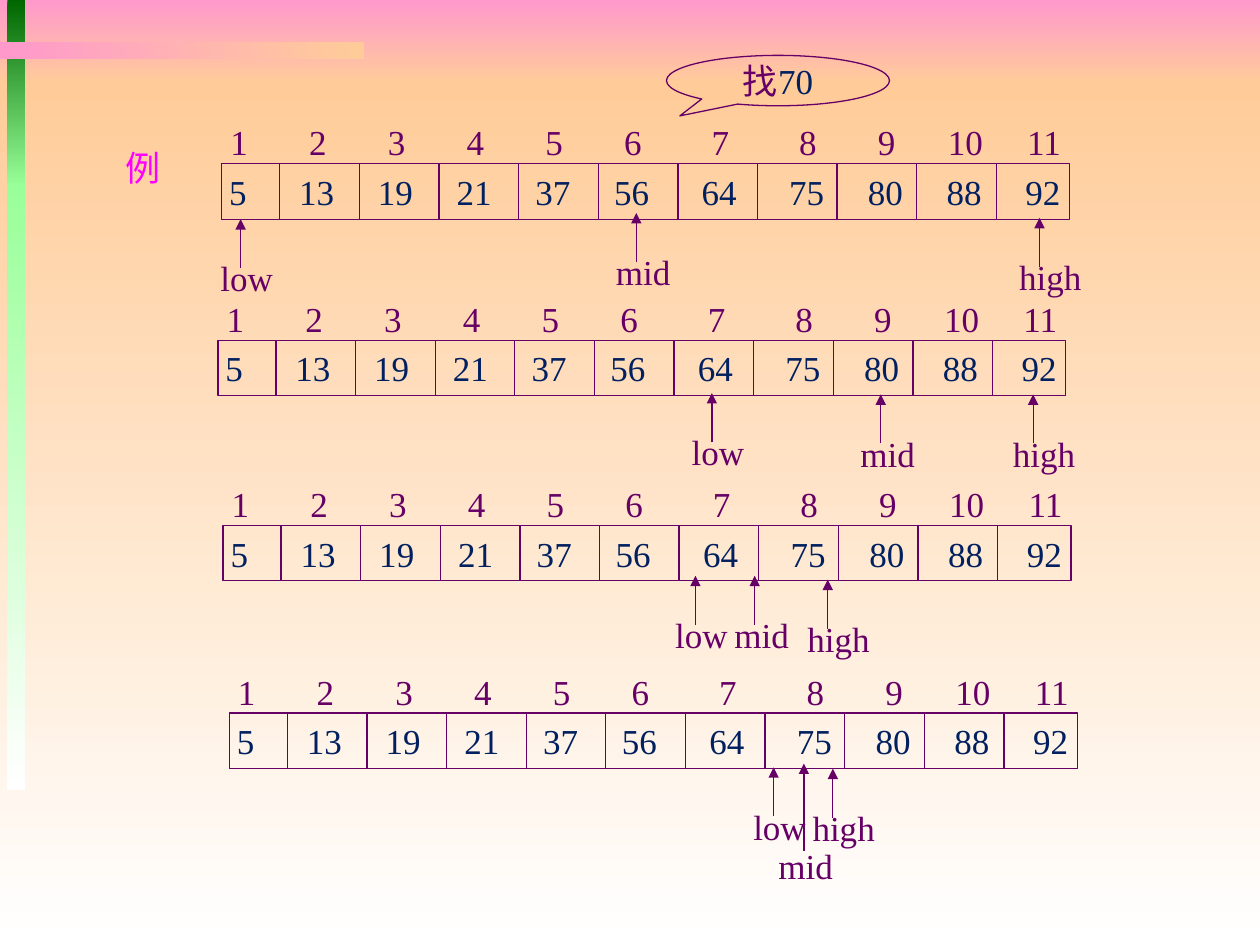
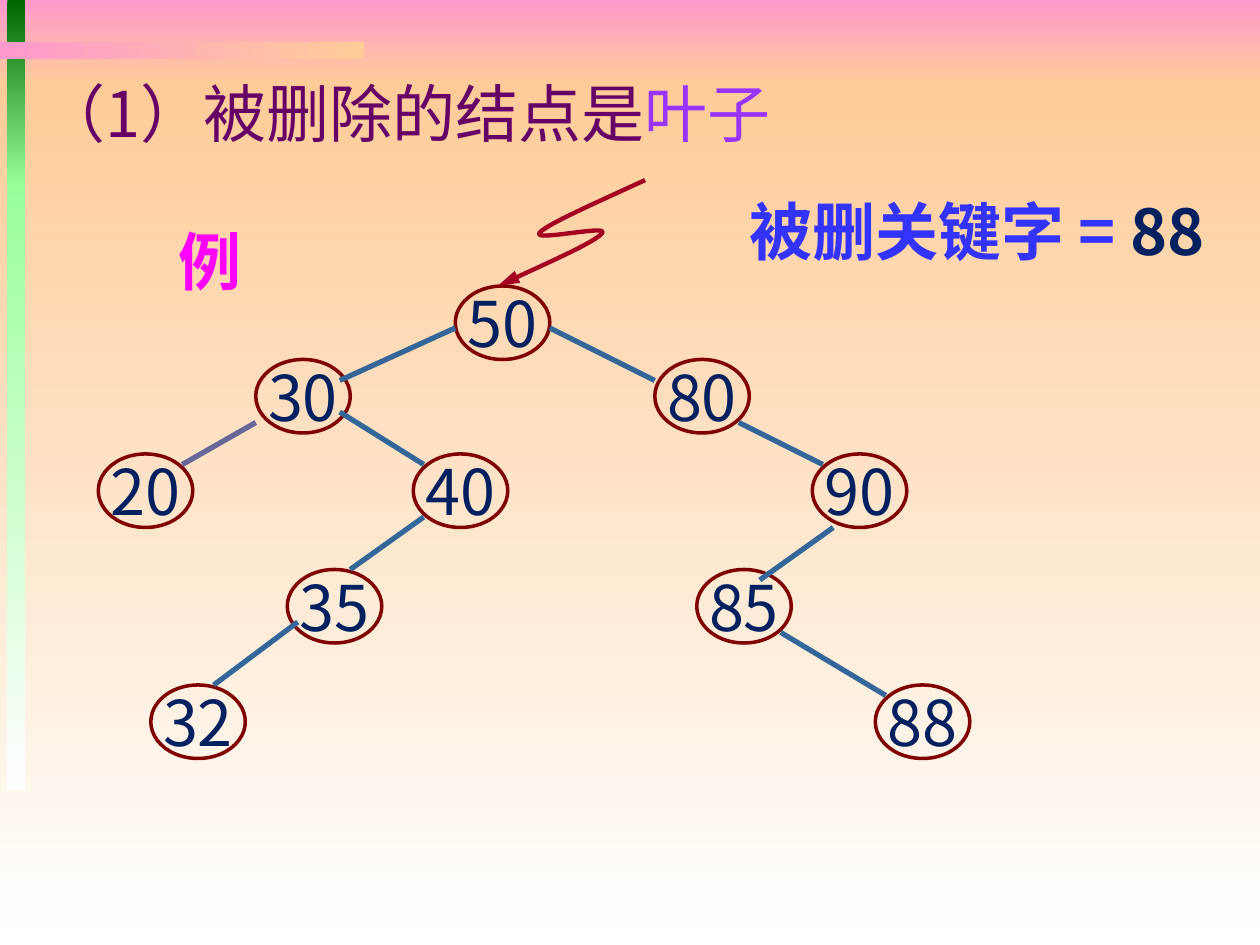
from lxml.etree import SubElement
from pptx import Presentation
from pptx.dml.color import RGBColor
from pptx.enum.shapes import MSO_CONNECTOR as Link, MSO_SHAPE as Preset
from pptx.enum.text import MSO_ANCHOR as Anchor, MSO_AUTO_SIZE as AutoSize, PP_ALIGN as Align
from pptx.oxml.ns import qn
from pptx.util import Inches, Pt

PINK = RGBColor(0xFF, 0x99, 0xCC)
PEACH = RGBColor(0xFF, 0xCC, 0x99)
WHITE = RGBColor(0xFF, 0xFF, 0xFF)
DARK_GREEN = RGBColor(0x00, 0x66, 0x00)
LIGHT_GREEN = RGBColor(0x99, 0xFF, 0x99)
PLUM = RGBColor(0x66, 0x00, 0x66)
NAVY = RGBColor(0x00, 0x20, 0x60)
MAGENTA = RGBColor(0xFF, 0x00, 0xFF)
MAROON = RGBColor(0x80, 0x00, 0x00)
STEEL = RGBColor(0x33, 0x66, 0x99)
SLATE = RGBColor(0x66, 0x66, 0x99)
VIOLET = RGBColor(0x99, 0x33, 0xFF)
BLUE = RGBColor(0x33, 0x33, 0xFF)
CRIMSON = RGBColor(0xA5, 0x00, 0x21)

SERIF = "Times New Roman"
SANS = "Noto Sans CJK SC"

BACKDROP = [
    ((0, 0, 10, 0.67), PINK, PEACH, 270),
    ((0, 0.67, 10, 6.83), PEACH, WHITE, 270),
    ((0.06, 0, 0.14, 1.48), DARK_GREEN, LIGHT_GREEN, 270),
    ((0.06, 1.46, 0.14, 4.81), LIGHT_GREEN, WHITE, 270),
    ((0, 0.33, 2.89, 0.14), PINK, PEACH, 0),
]

KEYS = [5, 13, 19, 21, 37, 56, 64, 75, 80, 88, 92]
KEY_CENTRES = [50, 95, 140, 185, 230, 280, 330, 375, 420, 465]
ARRAY_WIDTH, ARRAY_HEIGHT = 6.73, 0.44
FIRST_CELL, CELL = 0.46, 0.632
SHAFT = 0.39
SEARCH_STEPS = [
    (1.76, 1.3, [("low", 1.91, 1.74, SHAFT), ("high", 8.25, 1.73, SHAFT), ("mid", 5.05, 1.69, SHAFT)]),
    (1.73, 2.7, [("low", 5.65, 3.12, SHAFT), ("high", 8.2, 3.13, SHAFT), ("mid", 6.99, 3.13, SHAFT)]),
    (1.77, 4.17, [("low", 5.52, 4.57, SHAFT), ("high", 6.57, 4.6, SHAFT), ("mid", 5.99, 4.57, SHAFT)]),
    (1.82, 5.66, [("low", 6.14, 6.09, SHAFT), ("high", 6.61, 6.1, SHAFT), ("mid", 6.38, 6.06, 0.69)]),
]

TREE_LEFT, TREE_TOP, TREE_UNIT = 0.78, 2.27, 1 / 12
NODES = {50: (34, 0), 30: (15, 7), 80: (53, 7), 20: (0, 16), 90: (68, 16),
         85: (57, 27), 40: (30, 16), 35: (18, 27), 88: (74, 38), 32: (5, 38)}
BRANCHES = [
    ((34, 4), (23, 9), STEEL), ((15, 13), (8, 17), SLATE), ((43, 4), (53, 9), STEEL),
    ((23, 12), (31, 17), STEEL), ((31, 22), (24, 27), STEEL), ((61, 13), (69, 17), STEEL),
    ((70, 23), (63, 28), STEEL), ((65, 33), (75, 39), STEEL), ((19, 32), (11, 38), STEEL),
]
SQUIGGLE_START = (5.12, 1.43)
SQUIGGLE = [
    ((4.73, 1.61), (4.34, 1.78), (4.28, 1.85)),
    ((4.23, 1.92), (4.84, 1.78), (4.78, 1.85)),
    ((4.73, 1.92), (4.34, 2.09), (3.95, 2.27)),
]


def inches(*lengths):
    return [Inches(length) for length in lengths]


def add_runs(paragraph, runs, font_name, size, bold=False):
    for words, color in runs:
        run = paragraph.add_run()
        run.text = words
        run.font.name = font_name
        run.font.size = Pt(size)
        run.font.bold = bold
        run.font.color.rgb = color
        SubElement(run.font._element, qn("a:ea")).set("typeface", SANS)


def add_label(slide, box, runs, font_name, size, bold=False):
    frame = slide.shapes.add_textbox(*inches(*box)).text_frame
    frame.word_wrap = False
    add_runs(frame.paragraphs[0], runs, font_name, size, bold)
    return frame.paragraphs[0]


def add_outline(slide, preset, box, color, weight):
    outline = slide.shapes.add_shape(preset, *inches(*box))
    outline.shadow.inherit = False
    outline.fill.background()
    outline.line.color.rgb = color
    outline.line.width = Pt(weight)
    frame = outline.text_frame
    frame.word_wrap = False
    frame.vertical_anchor = Anchor.MIDDLE
    frame.paragraphs[0].alignment = Align.CENTER
    return outline


def add_arrowhead(stroke, length="med"):
    head = SubElement(stroke.element.spPr.find(qn("a:ln")), qn("a:tailEnd"))
    head.set("type", "triangle")
    head.set("len", length)


def add_line(slide, start, end, color, weight):
    line = slide.shapes.add_connector(Link.STRAIGHT, *inches(*start, *end))
    line.line.color.rgb = color
    line.line.width = Pt(weight)
    SubElement(line.element.spPr, qn("a:effectLst"))
    return line


def move_backdrop_to_master(prs, slide):
    master_tree = prs.slide_master.shapes.element
    for order, (box, start, end, angle) in enumerate(BACKDROP):
        band = slide.shapes.add_shape(Preset.RECTANGLE, *inches(*box))
        band.shadow.inherit = False
        band.line.fill.background()
        band.fill.gradient()
        band.fill.gradient_angle = angle
        for stop, color in zip(band.fill.gradient_stops, (start, end)):
            stop.color.rgb = color
        band.element.nvSpPr.cNvPr.set("id", str(100 + order))
        master_tree.insert(2 + order, band.element)


def align_to_cells(paragraph):
    paragraph.alignment = Align.LEFT
    stops = SubElement(paragraph._p.get_or_add_pPr(), qn("a:tabLst"))
    for centre in KEY_CENTRES:
        stop = SubElement(stops, qn("a:tab"))
        stop.set("pos", str(Pt(centre)))
        stop.set("algn", "ctr")


def tabbed(numbers):
    return "\t".join(str(number) for number in numbers)


def add_pointer(slide, name, x, tip, shaft):
    add_arrowhead(add_line(slide, (x, tip + shaft), (x, tip), PLUM, 0.75))
    nudge = 0.04 if shaft > SHAFT else 0
    add_label(slide, (x - 0.26 - nudge, tip + shaft - 0.14 + nudge, 0.75, 0.43),
              [(name, PLUM)], SERIF, 20)


def add_search_step(slide, left, top, pointers):
    indices = add_label(slide, (left - 0.03, top - 0.39, 6.85, 0.43),
                        [(tabbed(range(1, len(KEYS) + 1)), PLUM)], SERIF, 20)
    align_to_cells(indices)
    array = add_outline(slide, Preset.RECTANGLE, (left, top, ARRAY_WIDTH, ARRAY_HEIGHT), PLUM, 0.75)
    frame = array.text_frame
    frame.margin_left = frame.margin_right = Inches(0.06)
    frame.word_wrap = True
    add_runs(frame.paragraphs[0], [(tabbed(KEYS), NAVY)], SERIF, 20)
    align_to_cells(frame.paragraphs[0])
    for cell in range(len(KEYS) - 1):
        x = left + FIRST_CELL + cell * CELL
        add_line(slide, (x, top), (x, top + ARRAY_HEIGHT), PLUM, 0.75)
    for pointer in pointers:
        add_pointer(slide, *pointer)


def tree_point(column, row):
    return TREE_LEFT + column * TREE_UNIT, TREE_TOP + row * TREE_UNIT


def add_node(slide, key, cell):
    node = add_outline(slide, Preset.OVAL, (*tree_point(*cell), 9 * TREE_UNIT, 7 * TREE_UNIT), MAROON, 2)
    frame = node.text_frame
    frame.margin_left = frame.margin_right = frame.margin_top = frame.margin_bottom = 0
    add_runs(frame.paragraphs[0], [(str(key), NAVY)], SANS, 36)


def curve_points(start, curves, steps=12):
    for first, second, end in curves:
        for step in range(1, steps + 1):
            t = step / steps
            yield tuple(Inches((1 - t) ** 3 * a + 3 * (1 - t) ** 2 * t * b + 3 * (1 - t) * t ** 2 * c + t ** 3 * d)
                        for a, b, c, d in zip(start, first, second, end))
        start = end


def add_squiggle(slide):
    builder = slide.shapes.build_freeform(*inches(*SQUIGGLE_START))
    builder.add_line_segments(list(curve_points(SQUIGGLE_START, SQUIGGLE)), close=False)
    squiggle = builder.convert_to_shape()
    squiggle.shadow.inherit = False
    squiggle.fill.background()
    squiggle.line.color.rgb = CRIMSON
    squiggle.line.width = Pt(2.5)
    add_arrowhead(squiggle, "lg")


def set_title(slide, box, runs):
    title = slide.shapes.title
    title.left, title.top, title.width, title.height = inches(*box)
    frame = title.text_frame
    frame.word_wrap = True
    frame.auto_size = AutoSize.NONE
    frame.vertical_anchor = Anchor.TOP
    heading = frame.paragraphs[0]
    heading.alignment = Align.LEFT
    add_runs(heading, runs, SANS, 36)


def build_binary_search(slide):
    add_label(slide, (0.9, 1.11, 0.55, 0.43), [("例", MAGENTA)], SERIF, 20)
    for step in SEARCH_STEPS:
        add_search_step(slide, *step)
    target = add_outline(slide, Preset.OVAL_CALLOUT, (5.29, 0.44, 1.77, 0.4), PLUM, 0.75)
    target.adjustments[0], target.adjustments[1] = -0.44, 0.7
    add_runs(target.text_frame.paragraphs[0], [("找", PLUM), ("70", NAVY)], SERIF, 20)


def build_leaf_deletion(slide):
    set_title(slide, (0.24, 0.54, 6.01, 1.3), [("（1）被删除的结点是", PLUM), ("叶子", VIOLET)])
    for key, cell in NODES.items():
        add_node(slide, key, cell)
    for start, end, color in BRANCHES:
        add_line(slide, tree_point(*start), tree_point(*end), color, 3)
    add_label(slide, (1.32, 1.72, 0.71, 0.71), [("例", MAGENTA)], SANS, 36, True)
    add_label(slide, (5.85, 1.48, 4.01, 0.71), [("被删关键字 = ", BLUE), ("88", NAVY)], SANS, 36, True)
    add_squiggle(slide)


def main():
    prs = Presentation()
    prs.slide_width, prs.slide_height = inches(10, 7.5)
    title_only, blank = prs.slide_layouts[5], prs.slide_layouts[6]
    search = prs.slides.add_slide(blank)
    move_backdrop_to_master(prs, search)
    build_binary_search(search)
    build_leaf_deletion(prs.slides.add_slide(title_only))
    prs.save("out.pptx")


if __name__ == "__main__":
    main()
